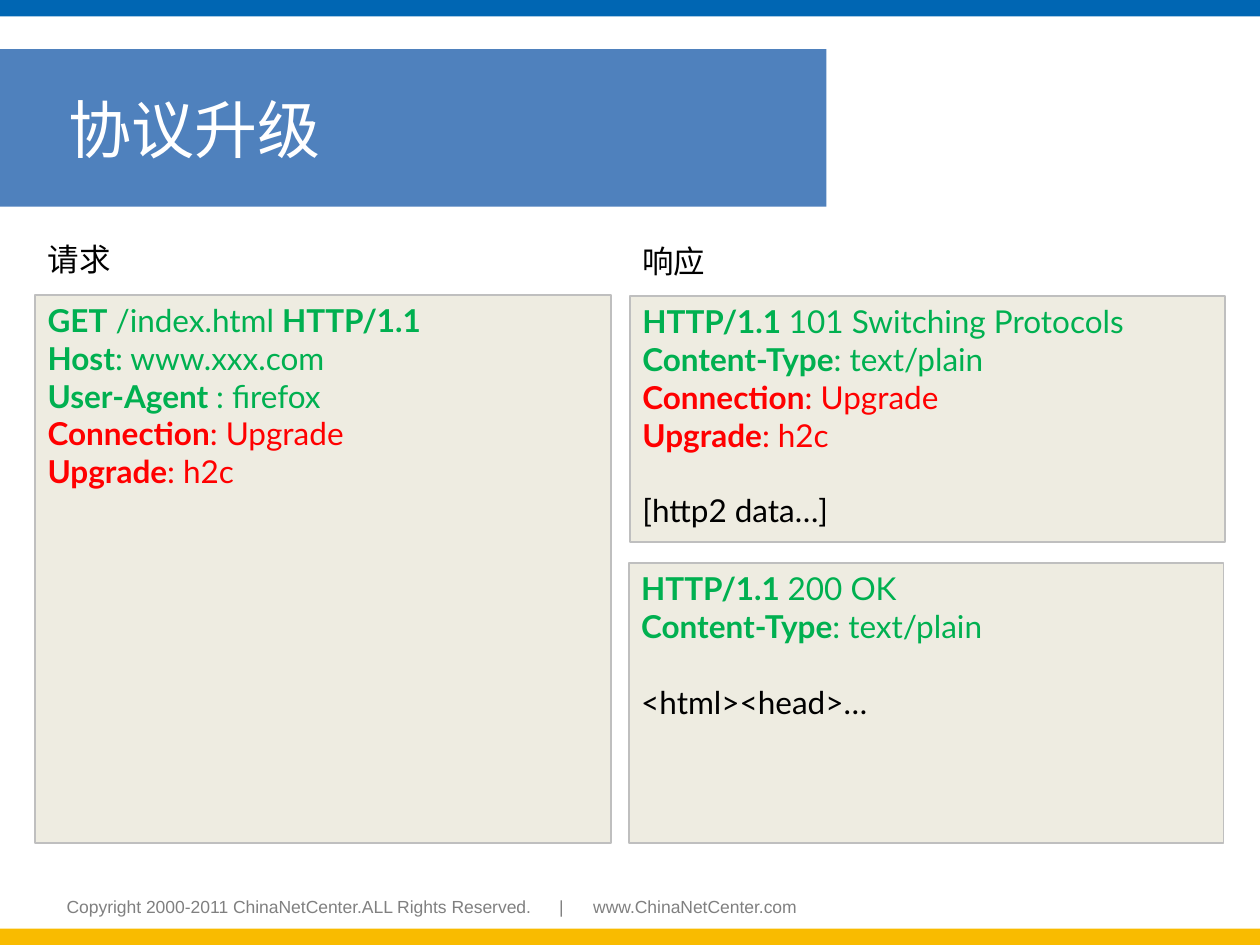
import pptx
import pptx.dml.color
import pptx.enum.shapes
import pptx.enum.text
import pptx.oxml
import pptx.oxml.ns
import pptx.util
from pptx.util import Inches

RGBColor = pptx.dml.color.RGBColor
ANCHOR = pptx.enum.text.MSO_ANCHOR
ALIGN = pptx.enum.text.PP_ALIGN

BLUE = RGBColor(0x00, 0x66, 0xB3)
GOLD = RGBColor(0xF9, 0xBB, 0x00)
TITLE_BLUE = RGBColor(0x4F, 0x81, 0xBD)
PANEL = RGBColor(0xEE, 0xEC, 0xE1)
PANEL_EDGE = RGBColor(0xBF, 0xBF, 0xBF)
GREEN = RGBColor(0x00, 0xB0, 0x50)
RED = RGBColor(0xFF, 0x00, 0x00)
BLACK = RGBColor(0x00, 0x00, 0x00)
WHITE = RGBColor(0xFF, 0xFF, 0xFF)
GRAY = RGBColor(0x80, 0x80, 0x80)

LATIN_FONT = "Lato"
CHINESE_FONT = "Noto Sans CJK SC"
BLANK_LINE = 21.6

UPGRADE_HEADERS = [
    ("Connection", ": Upgrade", RED),
    ("Upgrade", ": h2c", RED),
]
PLAIN_TYPE = ("Content-Type", ": text/plain", GREEN)
REQUEST = [
    ("GET", " /index.html ", GREEN, "HTTP/1.1"),
    ("Host", ": www.xxx.com", GREEN),
    ("User-Agent ", ": firefox", GREEN),
    *UPGRADE_HEADERS,
]
SWITCHING = [
    ("HTTP/1.1 ", "101 Switching Protocols", GREEN),
    PLAIN_TYPE,
    *UPGRADE_HEADERS,
]
SUCCESS = [("HTTP/1.1 ", "200 OK", GREEN), PLAIN_TYPE]


def add_run(paragraph, text, size, color, font=LATIN_FONT, bold=False):
    """Append one formatted run."""
    run = paragraph.add_run()
    run.text = text
    run.font.size = pptx.util.Pt(size)
    run.font.bold = bold
    run.font.name = font
    run.font.color.rgb = color
    if font == CHINESE_FONT:
        east_asian = pptx.oxml.parse_xml(
            f'<a:ea {pptx.oxml.ns.nsdecls("a")} typeface="{font}"/>'
        )
        run.font._element.append(east_asian)


def add_block(slide, left, top, width, height, fill, edge=None):
    """Add a flat rectangle with an optional outline."""
    block = slide.shapes.add_shape(
        pptx.enum.shapes.MSO_SHAPE.RECTANGLE,
        Inches(left), Inches(top), Inches(width), Inches(height),
    )
    block.shadow.inherit = False
    block.fill.solid()
    block.fill.fore_color.rgb = fill
    if edge is None:
        block.line.fill.background()
    else:
        block.line.color.rgb = edge
        block.line.width = pptx.util.Pt(1)
    return block


def add_message(slide, left, top, width, height, headers, body=None):
    """Add a panel showing an HTTP message."""
    frame = add_block(slide, left, top, width, height, PANEL, PANEL_EDGE).text_frame
    frame.word_wrap = True
    frame.vertical_anchor = ANCHOR.TOP
    for index, (name, value, color, *version) in enumerate(headers):
        line = frame.add_paragraph() if index else frame.paragraphs[0]
        line.alignment = ALIGN.LEFT
        add_run(line, name, 18, color, bold=True)
        add_run(line, value, 18, color)
        for text in version:
            add_run(line, text, 18, color, bold=True)
    if body:
        line = frame.add_paragraph()
        line.alignment = ALIGN.LEFT
        line.space_before = pptx.util.Pt(BLANK_LINE)
        add_run(line, body, 18, BLACK)


def add_text_line(slide, left, top, width, height):
    """Add a wrapping text box and return its paragraph."""
    frame = slide.shapes.add_textbox(
        Inches(left), Inches(top), Inches(width), Inches(height)
    ).text_frame
    frame.word_wrap = True
    return frame.paragraphs[0]


def add_heading(slide, left, top, width, text):
    """Add a column heading."""
    heading = add_text_line(slide, left, top, width, 0.4)
    add_run(heading, text, 18, BLACK, CHINESE_FONT)


def add_footer(slide):
    """Add the copyright line with its tab-separated parts."""
    footer = add_text_line(slide, 0.43, 7.06, 6.09, 0.3)
    stops = "".join(
        f'<a:tab pos="{Inches(position)}" algn="l"/>' for position in (3.91, 4.18)
    )
    tabs = pptx.oxml.parse_xml(
        f'<a:tabLst {pptx.oxml.ns.nsdecls("a")}>{stops}</a:tabLst>'
    )
    footer._p.get_or_add_pPr().append(tabs)
    parts = (
        "Copyright 2000-2011 ChinaNetCenter.ALL Rights Reserved.",
        "\t|",
        "\twww.ChinaNetCenter.com",
    )
    for part in parts:
        add_run(footer, part, 10, GRAY, "Arial")


def set_title(slide, text):
    """Place and format the title banner."""
    title = slide.shapes.title
    title.left, title.top = Inches(0), Inches(0.39)
    title.width, title.height = Inches(6.56), Inches(1.25)
    title.fill.solid()
    title.fill.fore_color.rgb = TITLE_BLUE
    frame = title.text_frame
    frame.auto_size = pptx.enum.text.MSO_AUTO_SIZE.NONE
    frame.margin_left = Inches(0.54)
    frame.vertical_anchor = ANCHOR.MIDDLE
    frame.paragraphs[0].alignment = ALIGN.LEFT
    add_run(frame.paragraphs[0], text, 36, WHITE, CHINESE_FONT)


def main():
    """Build and save the protocol upgrade slide."""
    presentation = pptx.Presentation()
    presentation.slide_width = Inches(10)
    presentation.slide_height = Inches(7.5)
    slide = presentation.slides.add_slide(presentation.slide_layouts[5])
    add_block(slide, 0, 7.37, 10, 0.13, GOLD)
    add_block(slide, 0, 0, 10, 0.13, BLUE)
    add_footer(slide)
    set_title(slide, "协议升级")
    add_message(slide, 0.28, 2.34, 4.57, 4.35, REQUEST)
    add_message(slide, 5, 2.35, 4.72, 1.95, SWITCHING, "[http2 data…]")
    add_heading(slide, 0.28, 1.86, 1.42, "请求")
    add_heading(slide, 5, 1.87, 1.27, "响应")
    add_message(slide, 4.99, 4.47, 4.72, 2.22, SUCCESS, "<html><head>…")
    presentation.save("out.pptx")


if __name__ == "__main__":
    main()
